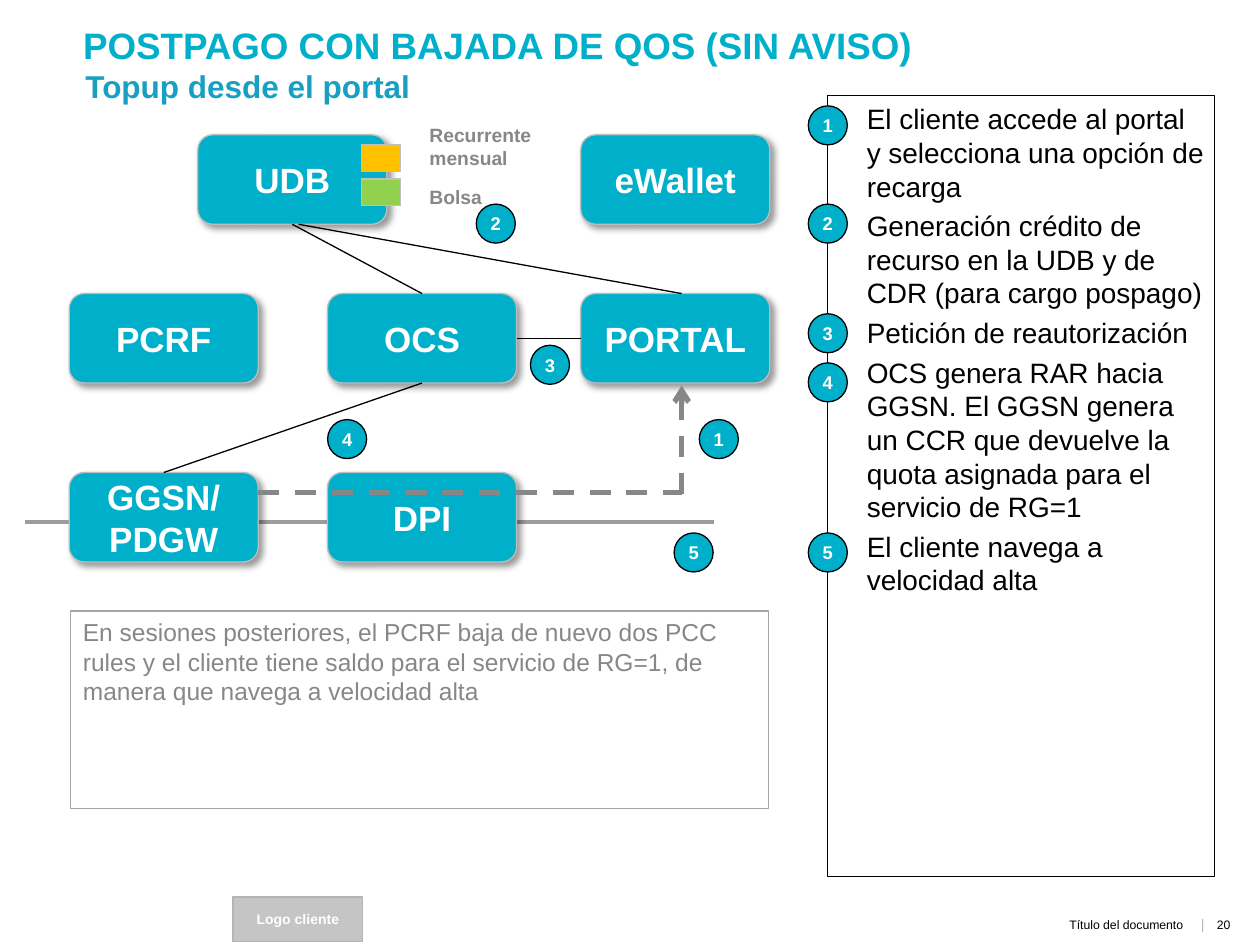
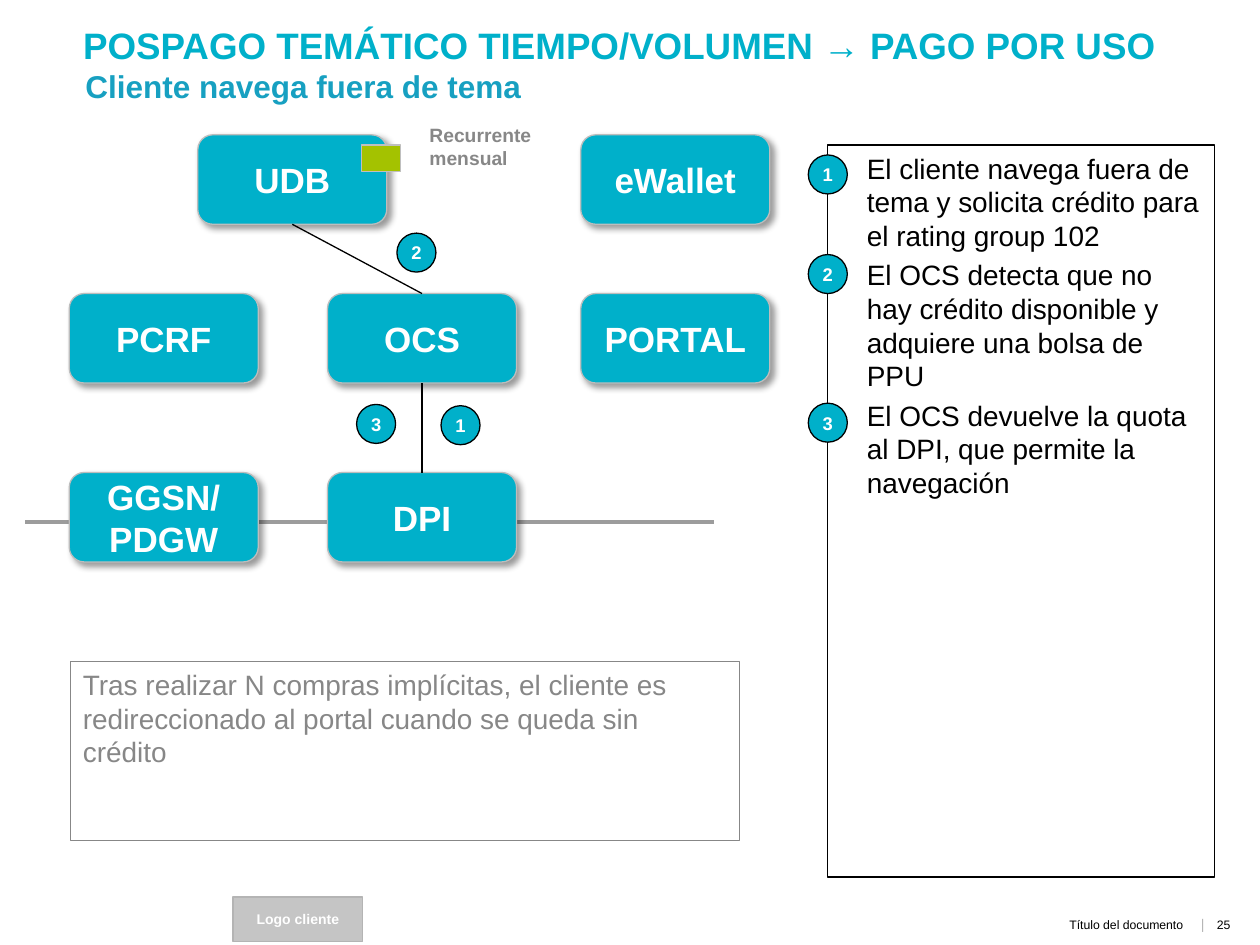
import collections

import lxml.etree
import pptx
import pptx.dml.color
import pptx.enum.dml
import pptx.enum.shapes
import pptx.enum.text
import pptx.oxml.ns
import pptx.util

Inches = pptx.util.Inches
Pt = pptx.util.Pt
ALIGN = pptx.enum.text.PP_ALIGN
ANCHOR = pptx.enum.text.MSO_ANCHOR
SHAPE = pptx.enum.shapes.MSO_SHAPE
DASH = pptx.enum.dml.MSO_LINE.DASH
Box = collections.namedtuple("Box", "left top width height")

COLORS = {
    "cyan": "00B0CA", "subtitle": "17A0C1", "white": "FFFFFF", "black": "000000",
    "gray": "878787", "axis": "9C9C9C", "note_edge": "A6A6A6", "node_edge": "BDBDBD",
    "swatch_edge": "BFBFBF", "logo": "B4B4B4", "divider": "B6B6B6",
    "amber": "FFC000", "green": "92D050", "lime": "A4C200",
}
TEXT_STYLES = {
    "title": {"size": Pt(21), "bold": True, "color": "cyan"},
    "subtitle": {"size": Pt(18), "bold": True, "color": "subtitle"},
    "node": {"size": Pt(20), "bold": True, "color": "white"},
    "badge": {"size": Pt(10.5), "bold": True, "color": "white"},
    "step": {"size": Pt(16), "bold": False, "color": "black"},
    "note": {"size": Pt(16), "bold": False, "color": "gray"},
    "small_note": {"size": Pt(14), "bold": False, "color": "gray"},
    "legend": {"size": Pt(11), "bold": True, "color": "gray"},
    "footer": {"size": Pt(7), "bold": False, "color": "black"},
    "divider": {"size": Pt(8), "bold": False, "color": "divider"},
    "logo": {"size": Pt(8), "bold": True, "color": "white"},
}
PLAIN_INSETS = (0.1, 0.05, 0.1, 0.05)
NO_INSETS = (0, 0, 0, 0)

TITLE_BOX = Box(0.56, 0.13, 9.09, 0.44)
SUBTITLE_BOX = Box(0.58, 0.48, 5, 0.4)
DIAGRAM_BOX = Box(0.55, 1.07, 5.56, 3.39)
LEGEND_BOX = Box(2.87, 0.93, 1.74, 0.78)
FOOTER_BOX = Box(1.85, 7.12, 8.15, 0.35)

NODE_SIZE = (1.5, 0.71)
BADGE_SIZE = 0.31
SWATCH_SIZE = (0.31, 0.21)
COLUMNS = (0, 2.05, 4.06)
ROWS = (0, 1.26, 2.68)
NODES = {
    "UDB": (1.02, ROWS[0]),
    "eWallet": (COLUMNS[2], ROWS[0]),
    "PCRF": (COLUMNS[0], ROWS[1]),
    "OCS": (COLUMNS[1], ROWS[1]),
    "PORTAL": (COLUMNS[2], ROWS[1]),
    "GGSN/\nPDGW": (COLUMNS[0], ROWS[2]),
    "DPI": (COLUMNS[1], ROWS[2]),
}
TOP, LEFT, BOTTOM, RIGHT = range(4)  # connection sites of a node


def rgb(color):
    return pptx.dml.color.RGBColor.from_string(COLORS[color])


def lengths(values):
    return [Inches(value) for value in values]


def sub_box(box, left, top, width, height):
    return Box(box.left + left, box.top + top, width, height)


def add_xml(parent, tag, **attributes):
    return lxml.etree.SubElement(parent, pptx.oxml.ns.qn(tag), attributes)


def write(frame, text, style, align=ALIGN.LEFT, anchor=ANCHOR.TOP,
          insets=PLAIN_INSETS, wrap=True, gap=0):
    """Fill a text frame, one paragraph per line of text."""
    left, top, right, bottom = lengths(insets)
    settings = {
        "word_wrap": wrap, "vertical_anchor": anchor, "margin_left": left,
        "margin_top": top, "margin_right": right, "margin_bottom": bottom,
    }
    for name, value in settings.items():
        setattr(frame, name, value)
    frame.text = text
    for index, paragraph in enumerate(frame.paragraphs):
        paragraph.alignment = align
        if index:
            paragraph.space_before = Pt(gap)
        for run in paragraph.runs:
            run.font.name = "Arial"
            for name, value in TEXT_STYLES[style].items():
                if name == "color":
                    run.font.color.rgb = rgb(value)
                else:
                    setattr(run.font, name, value)


def add_text(slide, box, text, style, edge=None, **layout):
    area = slide.shapes.add_textbox(*lengths(box))
    write(area.text_frame, text, style, **layout)
    if edge:
        area.line.color.rgb = rgb(edge)
        area.line.width = Pt(0.75)


def add_block(slide, kind, box, fill, edge, text="", style=None, insets=PLAIN_INSETS):
    block = slide.shapes.add_shape(kind, *lengths(box))
    block.shadow.inherit = False
    block.fill.solid()
    block.fill.fore_color.rgb = rgb(fill)
    block.line.color.rgb = rgb(edge)
    block.line.width = Pt(0.75)
    if text:
        write(block.text_frame, text, style, ALIGN.CENTER, ANCHOR.MIDDLE, insets)
    return block


def add_line(slide, start, end, color="black", width=0.75, dash=None, arrow=False):
    line = slide.shapes.add_connector(
        pptx.enum.shapes.MSO_CONNECTOR.STRAIGHT, *lengths((*start, *end)))
    line.line.color.rgb = rgb(color)
    line.line.width = Pt(width)
    if dash:
        line.line.dash_style = dash
    if arrow:
        add_xml(line.line._get_or_add_ln(), "a:tailEnd", type="arrow")
    add_xml(line._element.spPr, "a:effectLst")
    return line


def add_badge(slide, left, top, number):
    add_block(slide, SHAPE.OVAL, Box(left, top, BADGE_SIZE, BADGE_SIZE),
              "cyan", "black", str(number), "badge", NO_INSETS)


def add_node(slide, box, label):
    node = add_block(slide, SHAPE.ROUNDED_RECTANGLE, box, "cyan", "node_edge",
                     label, "node")
    effects = node._element.spPr.find(pptx.oxml.ns.qn("a:effectLst"))
    shadow = add_xml(effects, "a:outerShdw", blurRad=str(Pt(4)), dist=str(Pt(3)),
                     dir=str(45 * 60000), algn="tl", rotWithShape="0")
    shade = add_xml(shadow, "a:srgbClr", val=COLORS["black"])
    add_xml(shade, "a:alpha", val="40000")
    return node


def add_heading(slide, title, subtitle):
    heading = slide.shapes.title
    for name, value in zip(Box._fields, lengths(TITLE_BOX)):
        setattr(heading, name, value)
    write(heading.text_frame, title, "title")
    add_text(slide, SUBTITLE_BOX, subtitle, "subtitle", wrap=False)


def add_footer(slide, box, page):
    logo = add_block(slide, SHAPE.RECTANGLE, Box(box.left, box.top, 1.03, box.height),
                     "logo", "logo", "Logo cliente", "logo")
    tint = logo._element.spPr.xpath("./a:solidFill/a:srgbClr")[0]
    add_xml(tint, "a:alpha", val="76000")
    right = {"align": ALIGN.RIGHT, "anchor": ANCHOR.MIDDLE, "insets": NO_INSETS}
    add_text(slide, sub_box(box, 1.56, 0.14, 5.98, 0.16), "Título del documento",
             "footer", **right)
    add_text(slide, sub_box(box, 7.63, 0.13, 0.08, 0.16), "|", "divider", **right)
    add_text(slide, sub_box(box, 7.71, 0.11, 0.44, 0.24), str(page), "footer")


def add_network(slide, box, links, badges, portal_access=False):
    """Draw the network nodes; links join node sites, badges are (number, x, y)."""
    axis_y = box.top + 3.07
    add_line(slide, (box.left - 0.35, axis_y), (box.left + 5.12, axis_y), "axis", 2.25)
    nodes = {label: add_node(slide, sub_box(box, *place, *NODE_SIZE), label)
             for label, place in NODES.items()}
    for source, source_site, target, target_site in links:
        link = add_line(slide, (0, 0), (1, 1))
        link.begin_connect(nodes[source], source_site)
        link.end_connect(nodes[target], target_site)
    if portal_access:
        add_portal_access(slide, box)
    for number, x, y in badges:
        add_badge(slide, box.left + x, box.top + y, number)


def add_portal_access(slide, box):
    """Draw the client's dashed route to the portal and the portal's link to the UDB."""
    portal_x = box.left + COLUMNS[2] + 0.8
    route_y = box.top + 2.84
    route = {"color": "gray", "width": 3, "dash": DASH}
    add_line(slide, (box.left + NODE_SIZE[0], route_y), (portal_x, route_y), **route)
    add_line(slide, (portal_x, route_y + 0.01), (portal_x, box.top + 1.99),
             arrow=True, **route)
    add_line(slide, (portal_x, box.top + ROWS[1]),
             (box.left + 1.82, box.top + NODE_SIZE[1]))


def add_legend(slide, box, entries):
    for index, (label, color, label_top, label_height) in enumerate(entries):
        add_text(slide, sub_box(box, 0.44, label_top, 1.3, label_height), label, "legend")
        add_block(slide, SHAPE.RECTANGLE,
                  sub_box(box, 0, 0.22 + 0.27 * index, *SWATCH_SIZE),
                  color, "swatch_edge")


def add_steps(slide, box, steps):
    """Draw the steps panel; each step is (badge offset from the top, text)."""
    add_text(slide, box, "\n".join(text for _, text in steps), "step", edge="black",
             insets=(0.31, 0.05, 0.08, 0.05), gap=3.5)
    for number, (offset, _) in enumerate(steps, start=1):
        add_badge(slide, box.left - BADGE_SIZE / 2, box.top + offset, number)


def build_flow_slide(deck, flow):
    slide = deck.slides.add_slide(deck.slide_layouts[5])
    add_footer(slide, FOOTER_BOX, flow["page"])
    add_heading(slide, flow["title"], flow["subtitle"])
    add_text(slide, **flow["note"])
    add_steps(slide, **flow["steps"])
    add_network(slide, DIAGRAM_BOX, **flow["network"])
    add_legend(slide, LEGEND_BOX, flow["legend"])


MONTHLY_LABEL = "Recurrente mensual"
FLOWS = [
    {
        "page": 20,
        "title": "POSTPAGO CON BAJADA DE QOS (SIN AVISO)",
        "subtitle": "Topup desde el portal",
        "note": {
            "box": Box(0.56, 4.85, 5.54, 1.57), "style": "small_note", "edge": "note_edge",
            "text": "En sesiones posteriores, el PCRF baja de nuevo dos PCC rules y el "
                    "cliente tiene saldo para el servicio de RG=1, de manera que navega "
                    "a velocidad alta",
        },
        "steps": {"box": Box(6.57, 0.76, 3.07, 6.2), "steps": [
            (0.08, "El cliente accede al portal y selecciona una opción de recarga"),
            (0.86, "Generación crédito de recurso en la UDB y de CDR (para cargo pospago)"),
            (1.73, "Petición de reautorización"),
            (2.12, "OCS genera RAR hacia GGSN. El GGSN genera un CCR que devuelve la "
                   "quota asignada para el servicio de RG=1"),
            (3.47, "El cliente navega a velocidad alta"),
        ]},
        "network": {
            "links": [("OCS", TOP, "UDB", BOTTOM), ("PORTAL", LEFT, "OCS", RIGHT),
                      ("OCS", BOTTOM, "GGSN/\nPDGW", TOP)],
            "badges": [(1, 5, 2.26), (2, 3.23, 0.55), (3, 3.66, 1.67),
                       (4, 2.05, 2.26), (5, 4.8, 3.16)],
            "portal_access": True,
        },
        "legend": [(MONTHLY_LABEL, "amber", 0, 0.47), ("Bolsa", "green", 0.49, 0.29)],
    },
    {
        "page": 25,
        "title": "POSPAGO TEMÁTICO TIEMPO/VOLUMEN → PAGO POR USO",
        "subtitle": "Cliente navega fuera de tema",
        "note": {
            "box": Box(0.56, 5.25, 5.31, 1.42), "style": "note", "edge": "gray",
            "text": "Tras realizar N compras implícitas, el cliente es redireccionado "
                    "al portal cuando se queda sin crédito",
        },
        "steps": {"box": Box(6.57, 1.15, 3.07, 5.81), "steps": [
            (0.08, "El cliente navega fuera de tema y solicita crédito para el rating "
                   "group 102"),
            (0.87, "El OCS detecta que no hay crédito disponible y adquiere una bolsa "
                   "de PPU"),
            (2.05, "El OCS devuelve la quota al DPI, que permite la navegación"),
        ]},
        "network": {
            "links": [("OCS", TOP, "UDB", BOTTOM), ("DPI", TOP, "OCS", BOTTOM)],
            "badges": [(1, 2.95, 2.15), (2, 2.6, 0.78), (3, 2.28, 2.14)],
        },
        "legend": [(MONTHLY_LABEL, "lime", 0, 0.47)],
    },
]


def main():
    deck = pptx.Presentation()
    deck.slide_width, deck.slide_height = lengths((10, 7.5))
    for flow in FLOWS:
        build_flow_slide(deck, flow)
    deck.save("out.pptx")


if __name__ == "__main__":
    main()
